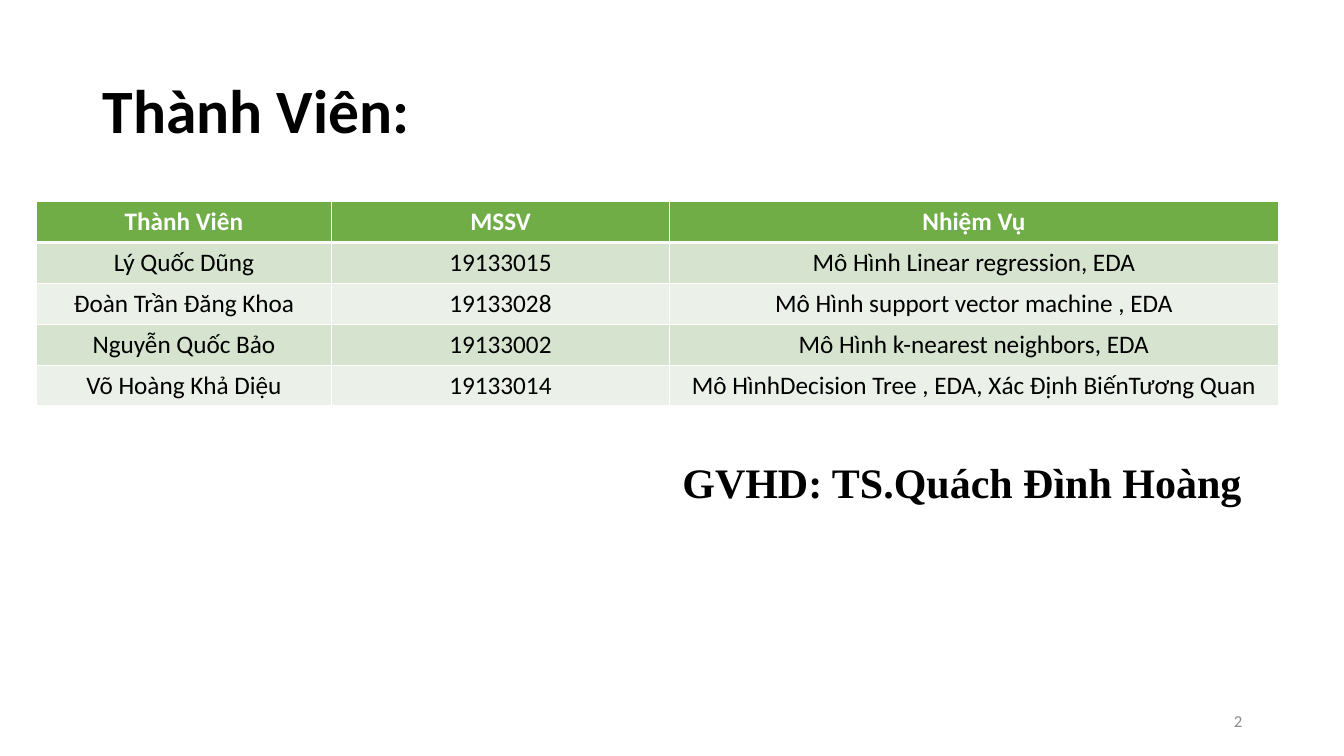
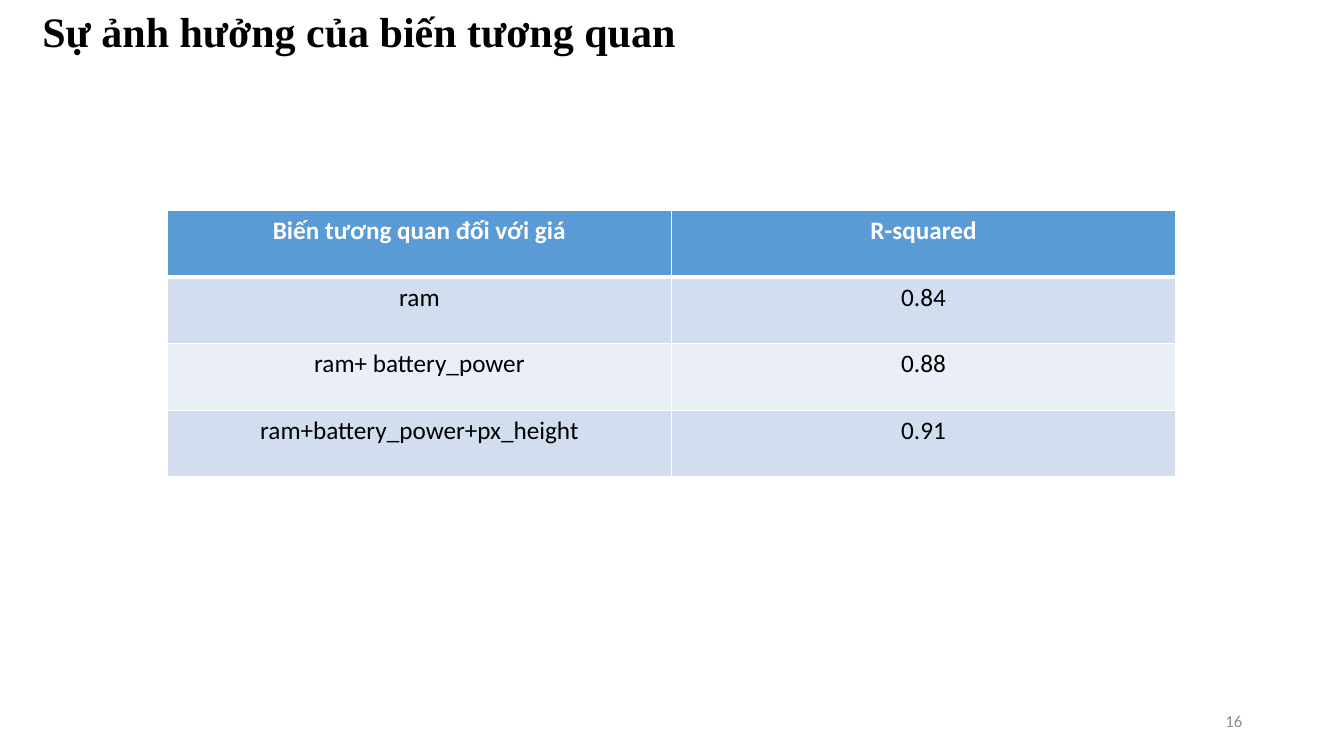
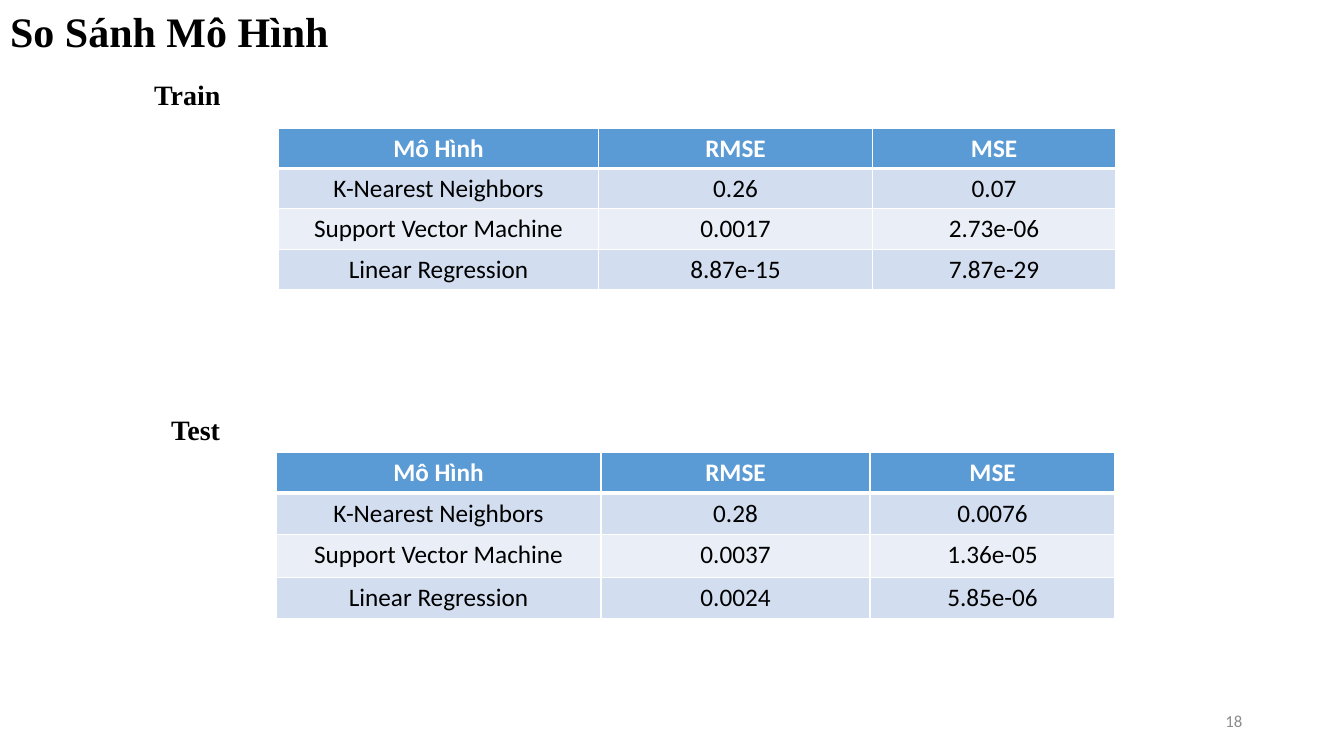
from dataclasses import dataclass
from pptx import Presentation
from pptx.dml.color import RGBColor as Rgb
from pptx.enum.text import MSO_ANCHOR as Anchor, MSO_AUTO_SIZE as Fit, PP_ALIGN as Align
from pptx.oxml import parse_xml
from pptx.oxml.ns import nsdecls
from pptx.util import Inches, Pt


@dataclass(frozen=True)
class Theme:
    """Colours, fonts and type sizes shared by the slides."""
    ink: str = "000000"
    white: str = "FFFFFF"
    gray: str = "8C8C8C"
    green: tuple = ("70AD47", "D5E3CF", "EBF1E9")
    blue: tuple = ("5B9BD5", "D2DEEF", "EAEFF7")
    sans: str = "Calibri"
    serif: str = "Times New Roman"
    big: int = 44
    head: int = 30
    sub: int = 20
    cell: int = 18
    foot: int = 12
    thin: int = 1
    thick: int = 3


LOOK = Theme()


def write(frame, text, size, font=LOOK.serif, color=LOOK.ink, bold=True,
          align=Align.LEFT, space=None):
    """Put one formatted paragraph in a text frame."""
    line = frame.paragraphs[0]
    line.alignment = align
    line.line_spacing = space
    run = line.add_run()
    run.text = text
    run.font.size = Pt(size)
    run.font.name = font
    run.font.bold = bold
    run.font.color.rgb = Rgb.from_string(color)


def set_up(frame, wrap, anchor):
    """Set wrapping and anchor of a text frame."""
    frame.auto_size = Fit.NONE if wrap else Fit.SHAPE_TO_FIT_TEXT
    frame.word_wrap = wrap
    frame.vertical_anchor = anchor


def add_title(slide, text, box, wrap=False, anchor=Anchor.TOP, **form):
    """Move, fill and format the title placeholder."""
    title = slide.shapes.title
    title.left, title.top, title.width, title.height = map(Inches, box)
    set_up(title.text_frame, wrap, anchor)
    write(title.text_frame, text, **form)


def add_label(slide, text, box, wrap=False, anchor=Anchor.TOP, **form):
    """Add a text box."""
    frame = slide.shapes.add_textbox(*map(Inches, box)).text_frame
    set_up(frame, wrap, anchor)
    write(frame, text, **form)


def add_edges(cell, **sides):
    """Draw white borders on a cell, one width per side."""
    props = cell._tc.get_or_add_tcPr()
    for spot, (side, width) in enumerate(sides.items()):
        props.insert(spot, parse_xml(
            f'<a:ln{side} {nsdecls("a")} w="{Pt(width)}"><a:solidFill>'
            f'<a:srgbClr val="{LOOK.white}"/></a:solidFill></a:ln{side}>'))


def add_grid(slide, left, top, cols, highs, rows, tones=LOOK.blue):
    """Add a table with a header row and two alternating body tones."""
    table = slide.shapes.add_table(
        len(rows), len(cols), Inches(left), Inches(top),
        Inches(sum(cols)), Inches(sum(highs))).table
    for col, width in zip(table.columns, cols):
        col.width = Inches(width)
    for i, (row, high, texts) in enumerate(zip(table.rows, highs, rows)):
        row.height = Inches(high)
        head = i == 0
        tone = tones[0] if head else tones[2 - i % 2]
        for cell, text in zip(row.cells, texts):
            cell.fill.solid()
            cell.fill.fore_color.rgb = Rgb.from_string(tone)
            add_edges(cell, L=LOOK.thin, R=LOOK.thin,
                      T=LOOK.thick if i == 1 else LOOK.thin,
                      B=LOOK.thick if head else LOOK.thin)
            write(cell.text_frame, text, LOOK.cell, font=LOOK.sans, bold=head,
                  color=LOOK.white if head else LOOK.ink, align=Align.CENTER)


def add_page(deck, number):
    """Add a title-only slide with its page number."""
    slide = deck.slides.add_slide(deck.slide_layouts[5])
    add_label(slide, number, (9.42, 6.95, 3, 0.4), wrap=True,
              anchor=Anchor.MIDDLE, size=LOOK.foot, font=LOOK.sans,
              color=LOOK.gray, bold=False, align=Align.RIGHT)
    return slide


def add_team(deck):
    """Build the slide of members and tasks."""
    slide = add_page(deck, "2")
    add_title(slide, "Thành Viên:", (0.92, 0.4, 11.5, 1.45), wrap=True,
              anchor=Anchor.MIDDLE, size=LOOK.big, font=LOOK.sans, space=0.9)
    add_grid(slide, 0.36, 2, (2.93, 3.35, 6.04), [0.4] * 5, (
        ("Thành Viên", "MSSV", "Nhiệm Vụ"),
        ("Lý Quốc Dũng", "19133015", "Mô Hình Linear regression, EDA"),
        ("Đoàn Trần Đăng Khoa", "19133028", "Mô Hình support vector machine , EDA"),
        ("Nguyễn Quốc Bảo", "19133002", "Mô Hình k-nearest neighbors, EDA"),
        ("Võ Hoàng Khả Diệu", "19133014",
         "Mô HìnhDecision Tree , EDA, Xác Định BiếnTương Quan"),
    ), tones=LOOK.green)
    add_label(slide, "GVHD: TS.Quách Đình Hoàng", (6.67, 4.48, 5.8, 0.61),
              size=LOOK.head)


def add_factors(deck):
    """Build the slide of correlated variables."""
    slide = add_page(deck, "16")
    add_title(slide, "Sự ảnh hưởng của biến tương quan", (0.32, 0, 6.64, 0.61),
              size=LOOK.head)
    add_grid(slide, 1.66, 2.09, (5, 5), [0.66] * 4, (
        ("Biến tương quan đối với giá", "R-squared"),
        ("ram", "0.84"),
        ("ram+ battery_power", "0.88"),
        ("ram+battery_power+px_height", "0.91"),
    ))


def add_models(deck):
    """Build the slide that compares models."""
    slide = add_page(deck, "18")
    add_title(slide, "So Sánh Mô Hình", (0, 0, 3.39, 0.61), size=LOOK.head)
    add_label(slide, "Train", (1.43, 0.72, 0.87, 0.44), size=LOOK.sub)
    add_label(slide, "Test", (1.6, 4.04, 0.69, 0.44), size=LOOK.sub)
    head = ("Mô Hình", "RMSE", "MSE")
    names = ("K-Nearest Neighbors", "Support Vector Machine", "Linear Regression")
    train = (("0.26", "0.07"), ("0.0017", "2.73e-06"), ("8.87e-15", "7.87e-29"))
    test = (("0.28", "0.0076"), ("0.0037", "1.36e-05"), ("0.0024", "5.85e-06"))
    for left, top, cols, highs, marks in (
            (2.76, 1.27, (3.18, 2.71, 2.42), [0.4] * 4, train),
            (2.74, 4.49, (3.22, 2.67, 2.43), (0.4, 0.41, 0.43, 0.41), test)):
        rows = [head] + [(name, *pair) for name, pair in zip(names, marks)]
        add_grid(slide, left, top, cols, highs, rows)


def main():
    """Build and save the deck."""
    deck = Presentation()
    deck.slide_width, deck.slide_height = Inches(13.33), Inches(7.5)
    for build in (add_team, add_factors, add_models):
        build(deck)
    deck.save("out.pptx")


if __name__ == "__main__":
    main()
